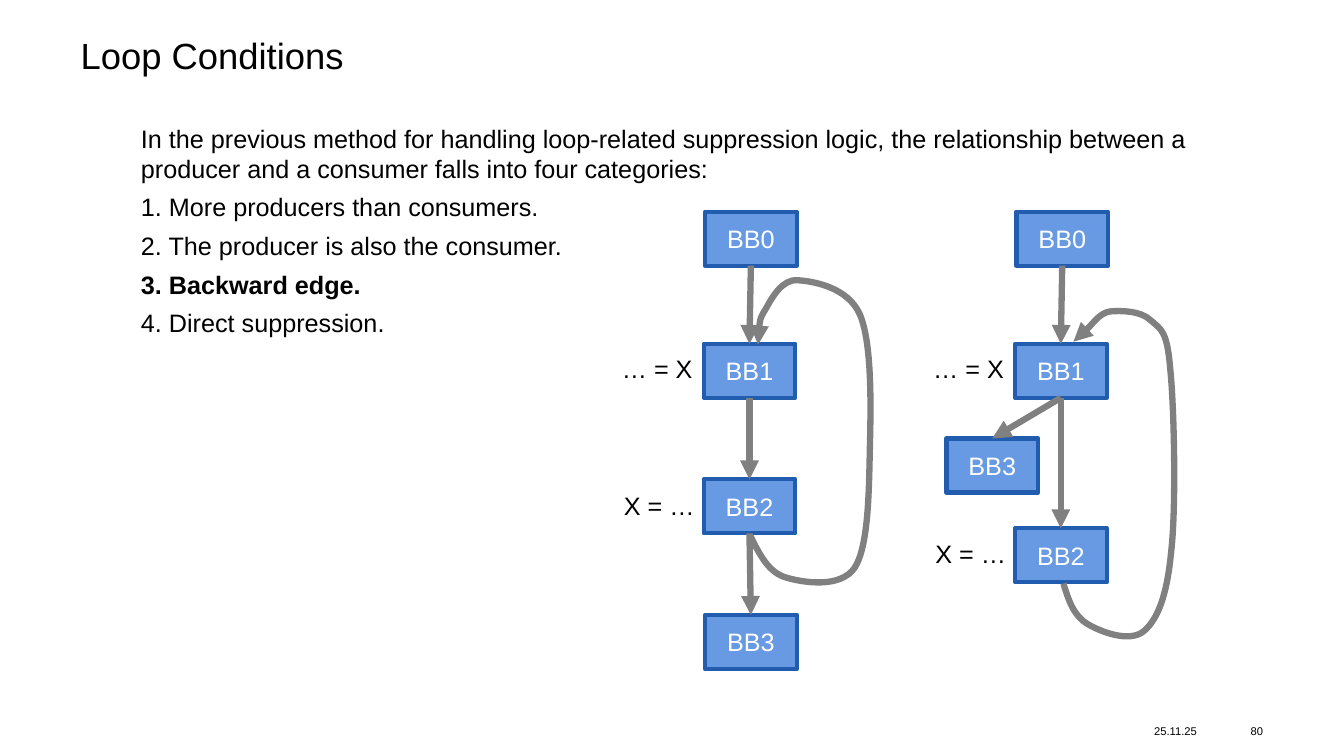
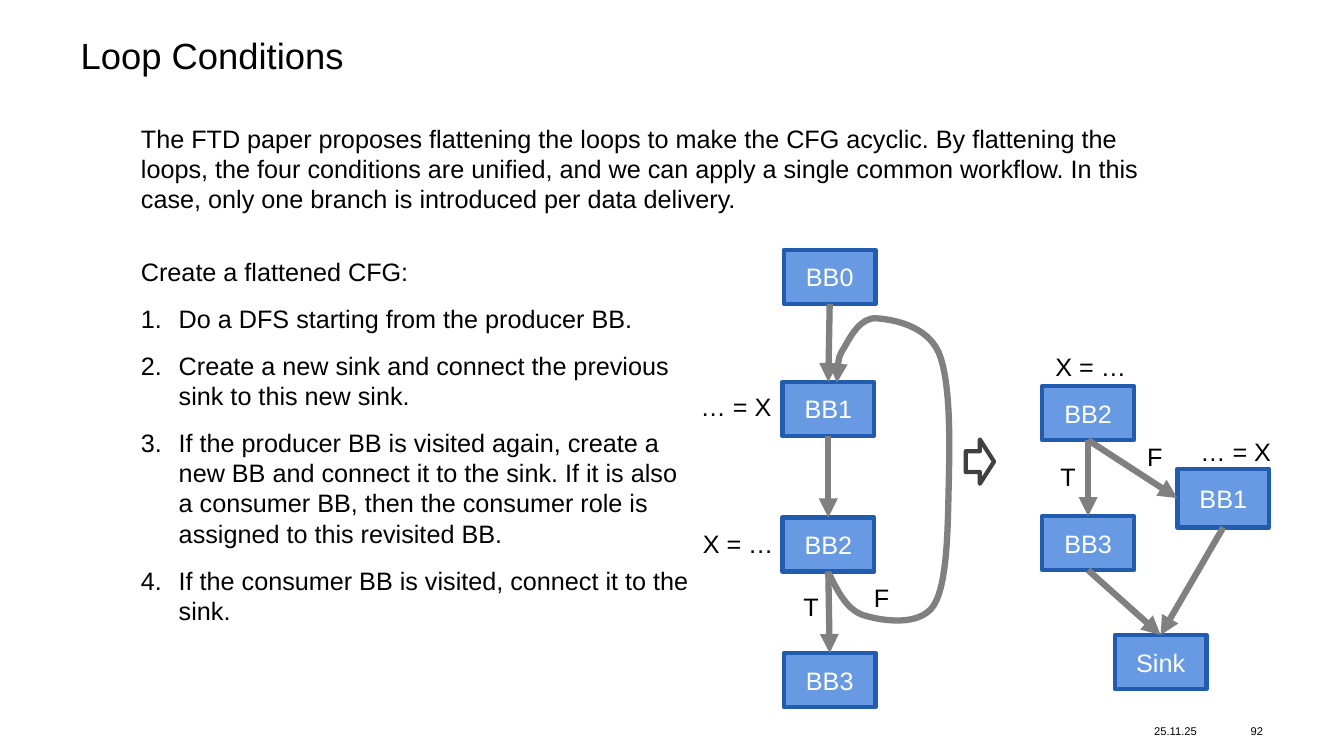
from dataclasses import dataclass

from lxml import etree
from pptx import Presentation
from pptx.dml.color import RGBColor
from pptx.enum.shapes import MSO_CONNECTOR, MSO_SHAPE
from pptx.enum.text import MSO_ANCHOR, MSO_AUTO_SIZE, PP_ALIGN
from pptx.oxml.ns import qn
from pptx.util import Pt

LEFT, CENTER, RIGHT = PP_ALIGN.LEFT, PP_ALIGN.CENTER, PP_ALIGN.RIGHT
MIDDLE = MSO_ANCHOR.MIDDLE
GROW = MSO_AUTO_SIZE.SHAPE_TO_FIT_TEXT
RECTANGLE, RIGHT_ARROW = MSO_SHAPE.RECTANGLE, MSO_SHAPE.RIGHT_ARROW
STRAIGHT = MSO_CONNECTOR.STRAIGHT
TOP_SITE, LEFT_SITE, BOTTOM_SITE = 0, 1, 2


@dataclass(frozen=True)
class Theme:
    font: str = "Arial"
    ink: RGBColor = RGBColor(0, 0, 0)
    block_fill: RGBColor = RGBColor(0x67, 0x9A, 0xE2)
    block_line: RGBColor = RGBColor(0x21, 0x5C, 0xAF)
    block_text: RGBColor = RGBColor(0xFF, 0xFF, 0xFF)
    edge: RGBColor = RGBColor(0x80, 0x80, 0x80)
    step_arrow: RGBColor = RGBColor(0x40, 0x40, 0x40)
    title_size: float = 26
    body_size: float = 18
    footer_size: float = 8
    block_width: float = 65.5
    block_height: float = 38.6
    outline_width: float = 3
    edge_width: float = 4.5


THEME = Theme()

LOOP_BACK_EDGE = [
    (33.1, 231.1),
    (39.6, 244.1), (46.1, 257.8), (59, 261.4),
    (71.3, 265), (97.9, 269.3), (108, 254.2),
    (118.1, 238.3), (118.1, 197.3), (118.8, 167),
    (119.5, 137.5), (120.2, 93.6), (111.6, 73.4),
    (103, 54), (78.5, 49.7), (67, 49),
    (56.2, 48.2), (49, 61.2), (44.6, 69.1),
    (39.6, 77), (38.9, 85.7), (38.9, 95),
]
EARLY_EXIT_BACK_EDGE = [
    (34.6, 265.7),
    (38.2, 277.2), (41.8, 288.7), (51.8, 294.5),
    (61.2, 300.2), (82.1, 308.2), (92.2, 299.5),
    (102.2, 290.9), (108.7, 273.6), (111.6, 242.6),
    (115.2, 211.7), (113.8, 139.7), (110.9, 112.3),
    (108.7, 85), (104.4, 84.2), (97.2, 77.8),
    (90, 70.6), (75.6, 70.6), (67.7, 71.3),
    (59.8, 72.7), (55.4, 80.6), (51.1, 84.2),
    (46.8, 87.8), (43.9, 90), (41.8, 92.9),
]


def add_run(paragraph, text, size, color=THEME.ink, bold=False):
    run = paragraph.add_run()
    run.text = text
    run.font.name = THEME.font
    run.font.size = Pt(size)
    run.font.color.rgb = color
    run.font.bold = bold


def add_frame(slide, left, top, width, height, inset=True):
    box = slide.shapes.add_textbox(Pt(left), Pt(top), Pt(width), Pt(height))
    frame = box.text_frame
    frame.word_wrap = True
    if not inset:
        frame.margin_left = frame.margin_right = 0
        frame.margin_top = frame.margin_bottom = 0
    return frame


def add_title(slide, text):
    title = add_frame(slide, 57.6, 27.4, 844.6, 27.4, inset=False).paragraphs[0]
    title.line_spacing = 0.9
    add_run(title, text, THEME.title_size)


def add_footer(slide, page):
    for text, left, width, align in (
        ("25.11.25", 824.4, 48.2, LEFT),
        (page, 877, 25.2, RIGHT),
    ):
        frame = add_frame(slide, left, 513.4, width, 17.3, inset=False)
        frame.vertical_anchor = MIDDLE
        frame.paragraphs[0].alignment = align
        add_run(frame.paragraphs[0], text, THEME.footer_size)


def number_paragraph(paragraph, indent=27):
    properties = paragraph._p.get_or_add_pPr()
    properties.set("marL", str(Pt(indent)))
    properties.set("indent", str(-Pt(indent)))
    numbering = etree.SubElement(properties, qn("a:buAutoNum"))
    numbering.set("type", "arabicPeriod")


def add_body(slide, top, width, height, lines, gap=0, numbered=False, strong=None):
    frame = add_frame(slide, 93.6, top, width, height)
    frame.auto_size = GROW
    for index, line in enumerate(lines):
        paragraph = frame.add_paragraph() if index else frame.paragraphs[0]
        if index:
            paragraph.space_before = Pt(gap)
            if numbered:
                number_paragraph(paragraph)
        add_run(paragraph, line, THEME.body_size, bold=index == strong)


def add_label(slide, text, left, top, width=THEME.block_width):
    frame = add_frame(slide, left, top, width, 29)
    frame.word_wrap = False
    frame.auto_size = GROW
    add_run(frame.paragraphs[0], text, THEME.body_size)


def label_use(slide, left, top):
    add_label(slide, "… = X", left - 65.5, top + 3)


def label_definition(slide, left, top):
    add_label(slide, "X = …", left - 64, top + 4)


def add_block(slide, text, left, top, height=THEME.block_height):
    block = slide.shapes.add_shape(
        RECTANGLE, Pt(left), Pt(top), Pt(THEME.block_width), Pt(height))
    block.shadow.inherit = False
    block.fill.solid()
    block.fill.fore_color.rgb = THEME.block_fill
    block.line.color.rgb = THEME.block_line
    block.line.width = Pt(THEME.outline_width)
    block.text_frame.vertical_anchor = MIDDLE
    caption = block.text_frame.paragraphs[0]
    caption.alignment = CENTER
    add_run(caption, text, THEME.body_size, THEME.block_text)
    return block


def style_edge(edge):
    edge.line.color.rgb = THEME.edge
    edge.line.width = Pt(THEME.edge_width)
    head = etree.SubElement(edge.line._get_or_add_ln(), qn("a:tailEnd"))
    head.set("type", "triangle")


def add_edge(slide, source, target, target_site=TOP_SITE):
    edge = slide.shapes.add_connector(STRAIGHT, 0, 0, 0, 0)
    edge.begin_connect(source, BOTTOM_SITE)
    edge.end_connect(target, target_site)
    style_edge(edge)
    etree.SubElement(edge._element.spPr, qn("a:effectLst"))


def add_back_edge(slide, left, top, points):
    start, *controls = [(Pt(left + x), Pt(top + y)) for x, y in points]
    builder = slide.shapes.build_freeform(*start)
    builder.add_line_segments(controls, close=False)
    edge = builder.convert_to_shape()
    edge.shadow.inherit = False
    edge.fill.background()
    style_edge(edge)
    segments = list(edge._element.iter(qn("a:lnTo")))
    for first in range(0, len(segments), 3):
        curve = etree.Element(qn("a:cubicBezTo"))
        segments[first].addprevious(curve)
        for segment in segments[first:first + 3]:
            curve.append(segment[0])
            segment.getparent().remove(segment)


def add_blocks(slide, left, top, offsets):
    return {name: add_block(slide, name, left + x, top + y)
            for name, (x, y) in offsets.items()}


def draw_loop(slide, left, top):
    offsets = {"BB0": (1, 0), "BB1": (0, 94.4),
               "BB2": (0, 191.2), "BB3": (1, 288)}
    blocks = list(add_blocks(slide, left, top, offsets).values())
    for source, target in zip(blocks, blocks[1:]):
        add_edge(slide, source, target)
    add_back_edge(slide, left, top, LOOP_BACK_EDGE)
    label_use(slide, left, top + 94.4)
    label_definition(slide, left, top + 191.2)


def draw_early_exit_loop(slide, left, top):
    offsets = {"BB0": (1, 0), "BB1": (0, 94.4),
               "BB2": (0, 226.1), "BB3": (-49, 162)}
    blocks = add_blocks(slide, left, top, offsets)
    for source, target in (("BB0", "BB1"), ("BB1", "BB2"), ("BB1", "BB3")):
        add_edge(slide, blocks[source], blocks[target])
    add_back_edge(slide, left, top, EARLY_EXIT_BACK_EDGE)
    label_use(slide, left, top + 94.4)
    label_definition(slide, left, top + 226.1)


def add_branch_labels(slide, left, top, true_at, false_at):
    for text, (x, y) in (("T", true_at), ("F", false_at)):
        add_label(slide, text, left + x, top + y, 26)


def draw_flattened(slide, left, top):
    offsets = {"BB2": (0, 0), "BB3": (0, 92.9), "Sink": (51.8, 177.8)}
    blocks = add_blocks(slide, left, top, offsets)
    consumer = add_block(slide, "BB1", left + 96.5, top + 59, 42)
    add_edge(slide, blocks["BB2"], consumer, LEFT_SITE)
    add_edge(slide, blocks["BB2"], blocks["BB3"])
    add_edge(slide, blocks["BB3"], blocks["Sink"])
    add_edge(slide, consumer, blocks["Sink"])
    add_label(slide, "X = …", left + 2.2, top - 28.1)
    add_label(slide, "… = X", left + 105.8, top + 32.4)
    add_branch_labels(slide, left, top, (5.8, 50.4), (67.7, 36))


def add_step_arrow(slide, left, top):
    arrow = slide.shapes.add_shape(
        RIGHT_ARROW, Pt(left), Pt(top), Pt(20.2), Pt(31.7))
    arrow.shadow.inherit = False
    arrow.adjustments[0] = 0.47
    arrow.adjustments[1] = 0.5
    arrow.fill.background()
    arrow.line.color.rgb = THEME.step_arrow
    arrow.line.width = Pt(THEME.outline_width)


def start_slide(deck, page):
    slide = deck.slides.add_slide(deck.slide_layouts[6])
    add_title(slide, "Loop Conditions")
    add_footer(slide, page)
    return slide


def build_categories(deck):
    slide = start_slide(deck, "80")
    add_body(slide, 84.2, 762.5, 190, [
        "In the previous method for handling loop-related suppression logic, "
        "the relationship between a producer and a consumer falls into four categories:",
        "1. More producers than consumers.",
        "2. The producer is also the consumer.",
        "3. Backward edge.",
        "4. Direct suppression.",
    ], gap=6, strong=3)
    draw_loop(slide, 502.6, 151.2)
    draw_early_exit_loop(slide, 725, 151.2)


def build_flattening(deck):
    slide = start_slide(deck, "92")
    add_body(slide, 84.2, 762.5, 72.7, [
        "The FTD paper proposes flattening the loops to make the CFG acyclic. "
        "By flattening the loops, the four conditions are unified, and we can apply "
        "a single common workflow. In this case, only one branch is introduced per "
        "data delivery.",
    ])
    add_body(slide, 179.3, 410.4, 273.6, [
        "Create a flattened CFG:",
        "Do a DFS starting from the producer BB.",
        "Create a new sink and connect the previous sink to this new sink.",
        "If the producer BB is visited again, create a new BB and connect it to the "
        "sink. If it is also a consumer BB, then the consumer role is assigned to "
        "this revisited BB.",
        "If the consumer BB is visited, connect it to the sink.",
    ], gap=12, numbered=True)
    draw_loop(slide, 558.9, 178.4)
    add_branch_labels(slide, 558.9, 178.4, (7.9, 240.5), (58.3, 234))
    add_step_arrow(slide, 689.8, 313.9)
    draw_flattened(slide, 744.5, 275.8)


def main():
    deck = Presentation()
    deck.slide_width, deck.slide_height = Pt(960), Pt(540)
    build_categories(deck)
    build_flattening(deck)
    deck.save("out.pptx")


if __name__ == "__main__":
    main()
